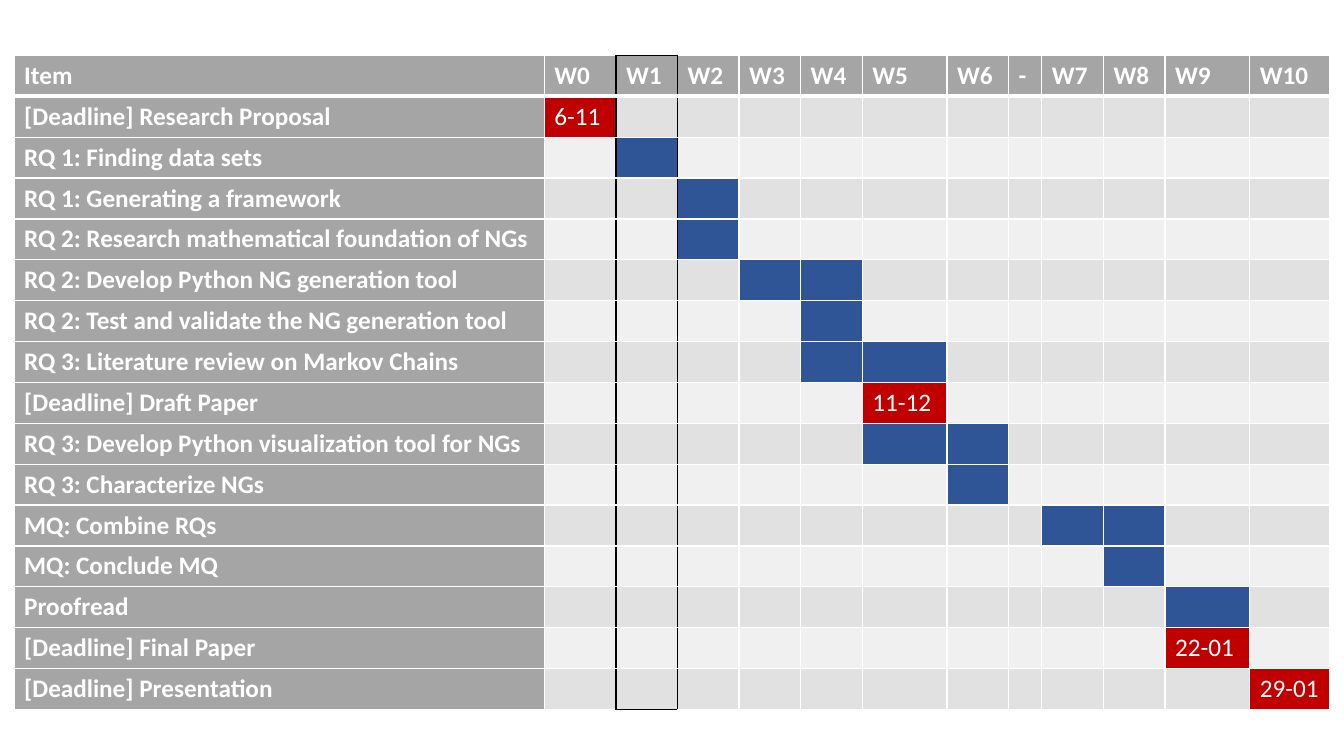
from lxml.etree import SubElement
from pptx import Presentation
from pptx.dml.color import RGBColor
from pptx.oxml.ns import qn
from pptx.util import Inches, Pt

GRID = 0.01
PAGE = (1333, 750)
CHART_BOX = (14, 55, 1305, 640)
COLUMNS = [525, 71, 61, 61, 61, 61, 84, 61, 33, 61, 61, 84, 79]
WEEKS = ["W0", "W1", "W2", "W3", "W4", "W5", "W6", "-", "W7", "W8", "W9", "W10"]
CURRENT_WEEK = "W1"
TASKS = [
    ("[Deadline] Research Proposal", ["W0"], "6-11"),
    ("RQ 1: Finding data sets", ["W1"], ""),
    ("RQ 1: Generating a framework", ["W2"], ""),
    ("RQ 2: Research mathematical foundation of NGs", ["W2"], ""),
    ("RQ 2: Develop Python NG generation tool", ["W3", "W4"], ""),
    ("RQ 2: Test and validate the NG generation tool", ["W4"], ""),
    ("RQ 3: Literature review on Markov Chains", ["W4", "W5"], ""),
    ("[Deadline] Draft Paper", ["W5"], "11-12"),
    ("RQ 3: Develop Python visualization tool for NGs", ["W5", "W6"], ""),
    ("RQ 3: Characterize NGs", ["W6"], ""),
    ("MQ: Combine RQs", ["W7", "W8"], ""),
    ("MQ: Conclude MQ", ["W8"], ""),
    ("Proofread", ["W9"], ""),
    ("[Deadline] Final Paper", ["W9"], "22-01"),
    ("[Deadline] Presentation", ["W10"], "29-01"),
]
WHITE, BLACK, GREY = "FFFFFF", "000000", "A5A5A5"
WORK, DEADLINE = "2F5597", "C00000"
BANDS = ["F0F0F0", "E1E1E1"]


def color(value):
    return RGBColor.from_string(value)


def units(count):
    return Inches(count * GRID)


def write(cell, text, bold):
    span = cell.text_frame.paragraphs[0].add_run()
    span.text = text
    span.font.color.rgb = color(WHITE)
    for name, value in {"name": "Calibri", "size": Pt(18), "bold": bold}.items():
        setattr(span.font, name, value)


def draw_borders(cell, borders):
    properties = cell._tc.get_or_add_tcPr()
    for position, side in enumerate("LRTB"):
        value, width = borders[side]
        line = SubElement(properties, qn(f"a:ln{side}"), w=str(Pt(width)))
        solid = SubElement(line, qn("a:solidFill"))
        SubElement(solid, qn("a:srgbClr"), val=value)
        properties.insert(position, line)


def cell_borders(row, column):
    current = WEEKS.index(CURRENT_WEEK) + 1
    last = len(TASKS)
    inside = column == current
    black = {
        "L": column in (current, current + 1),
        "R": column in (current - 1, current),
        "T": inside and row == 0,
        "B": inside and row == last,
    }
    heavy = {"T": row == 1, "B": row == 0}
    return {
        side: (BLACK if black[side] else WHITE, 3 if heavy.get(side) else 1)
        for side in "LRTB"
    }


def cell_content(row, column):
    if row == 0:
        return (["Item"] + WEEKS)[column], GREY
    title, weeks, date = TASKS[row - 1]
    if column == 0:
        return title, GREY
    if WEEKS[column - 1] in weeks:
        return date, DEADLINE if date else WORK
    return "", BANDS[row % 2]


def add_schedule(page, box):
    left, top, width, height = box
    row_count = len(TASKS) + 1
    frame = page.shapes.add_table(row_count, len(COLUMNS), *map(units, box))
    table = frame.table
    for column, share in zip(table.columns, COLUMNS):
        column.width = units(width * share / sum(COLUMNS))
    for row, line in enumerate(table.rows):
        line.height = units(height / row_count)
        for column, cell in enumerate(line.cells):
            text, fill = cell_content(row, column)
            cell.fill.solid()
            cell.fill.fore_color.rgb = color(fill)
            draw_borders(cell, cell_borders(row, column))
            if text:
                write(cell, text, row == 0 or column == 0)


def main():
    deck = Presentation()
    deck.slide_width, deck.slide_height = map(units, PAGE)
    page = deck.slides.add_slide(deck.slide_layouts[6])
    add_schedule(page, CHART_BOX)
    deck.save("out.pptx")


if __name__ == "__main__":
    main()
